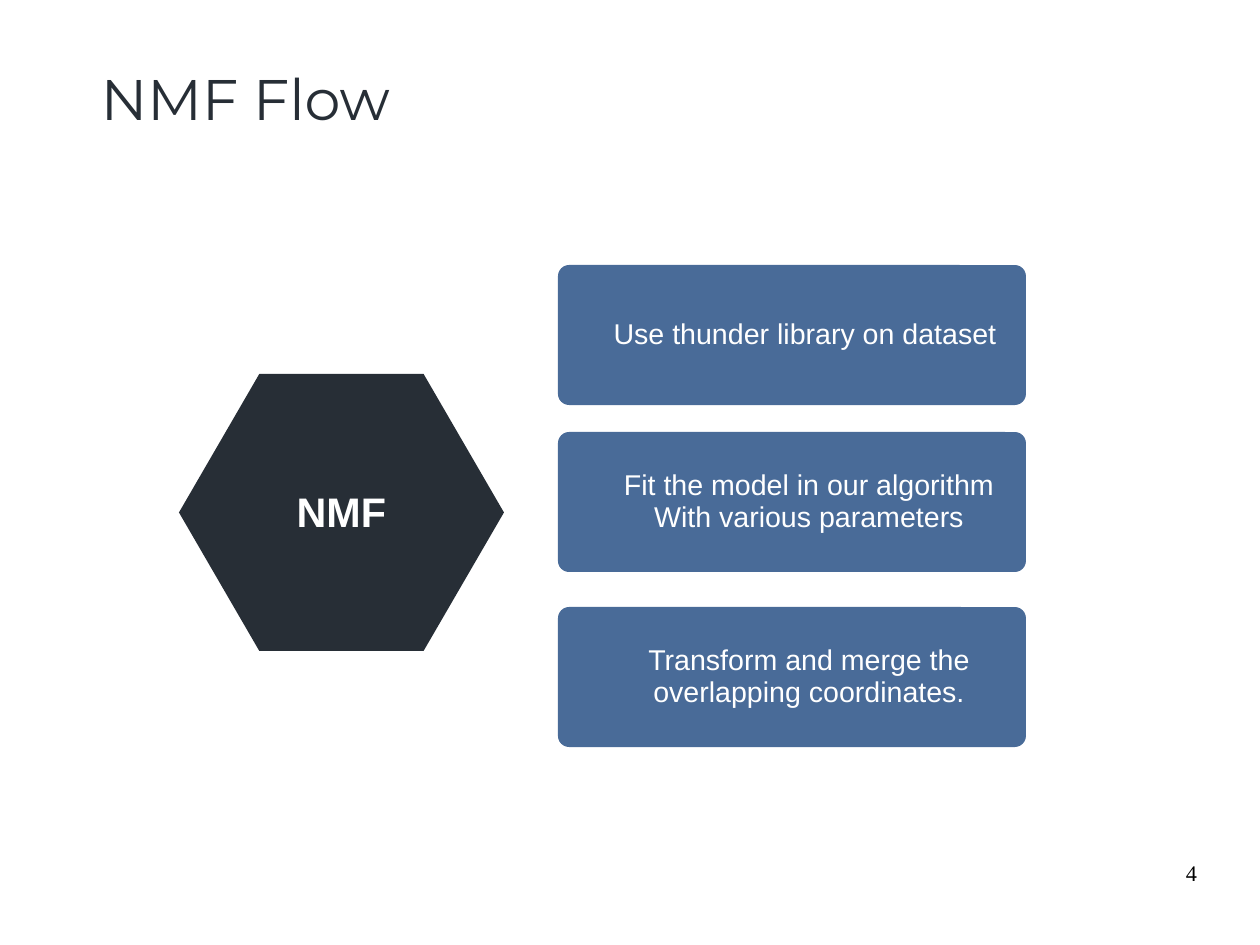
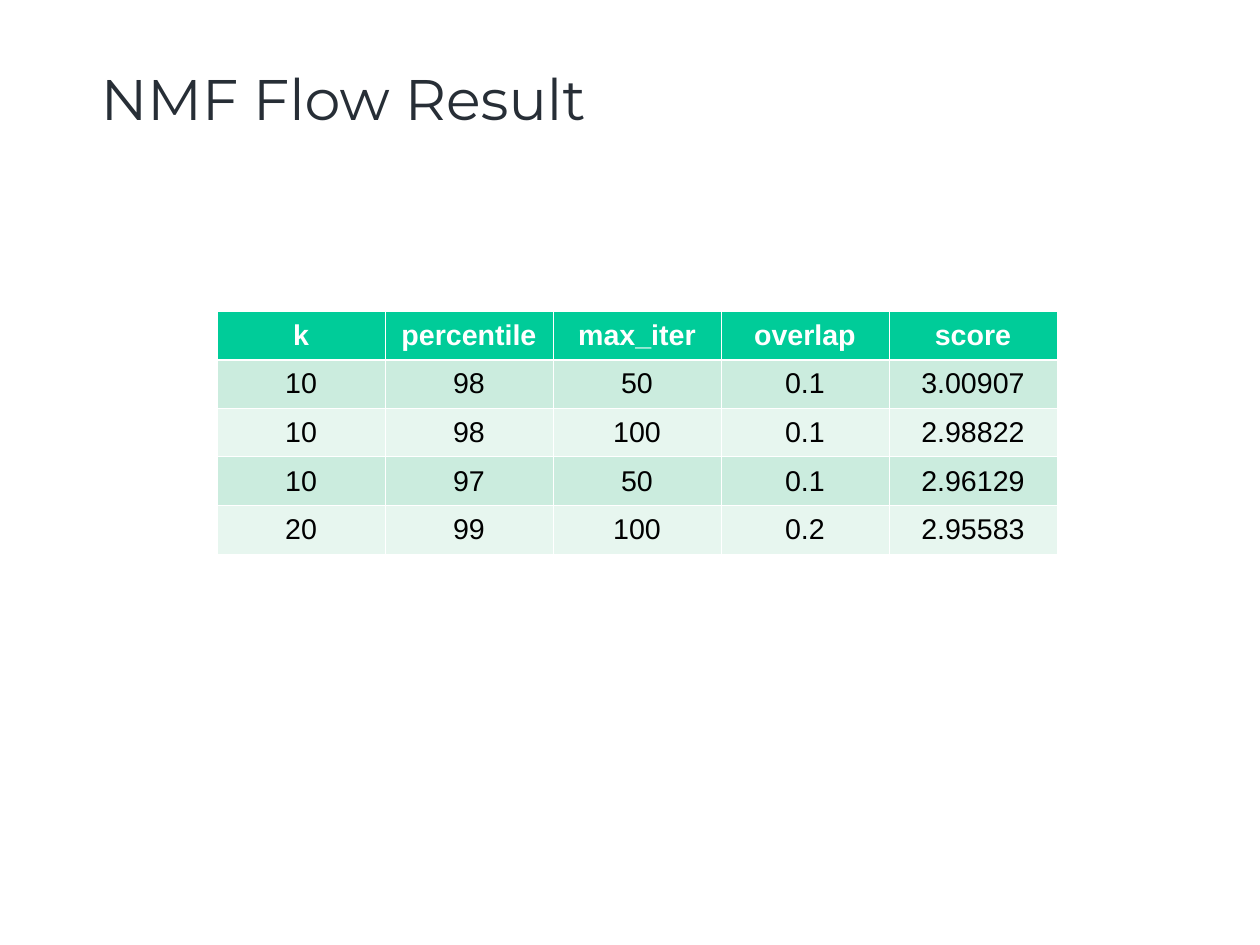
from lxml.etree import SubElement
from pptx import Presentation
from pptx.dml.color import RGBColor
from pptx.enum.shapes import MSO_SHAPE
from pptx.enum.text import MSO_ANCHOR, PP_ALIGN
from pptx.oxml.ns import qn
from pptx.util import Pt

PX = 8000  # EMU per px
BLANK_LAYOUT = 6

INK = RGBColor(0x27, 0x2E, 0x36)
BLUE = RGBColor(0x49, 0x6B, 0x98)
GREEN = RGBColor(0x00, 0xCC, 0x99)
MINT = RGBColor(0xCB, 0xEC, 0xDE)
PALE_MINT = RGBColor(0xE7, 0xF6, 0xEF)
WHITE = RGBColor(0xFF, 0xFF, 0xFF)
BLACK = RGBColor(0x00, 0x00, 0x00)

TITLE_FONT = dict(name="Montserrat", size=Pt(36), color=INK)
HEXAGON_FONT = dict(name="Arial", size=Pt(26), color=WHITE, bold=True)
STEP_FONT = dict(name="Arial", size=Pt(18), color=WHITE)
HEADER_FONT = dict(STEP_FONT, bold=True)
BODY_FONT = dict(STEP_FONT, color=BLACK, bold=False)
NUMBER_FONT = dict(name="Times New Roman", size=Pt(14), color=BLACK)

THIN, THICK = Pt(0.45), Pt(1.47)

STEPS = [
    (265, "Use thunder library on dataset "),
    (432, "Fit the model in our algorithm With various parameters"),
    (607, "Transform and merge the overlapping coordinates."),
]
RESULTS = [
    ("k", "percentile", "max_iter", "overlap", "score"),
    ("10", "98", "50", "0.1", "3.00907"),
    ("10", "98", "100", "0.1", "2.98822"),
    ("10", "97", "50", "0.1", "2.96129"),
    ("20", "99", "100", "0.2", "2.95583"),
]


def scale(*lengths):
    return [length * PX for length in lengths]


def set_margins(target, margins):
    """Set left, top, right and bottom margins of a text frame or a cell."""
    for side, margin in zip(("left", "top", "right", "bottom"), scale(*margins)):
        setattr(target, f"margin_{side}", margin)


def write(frame, text, font, align=PP_ALIGN.CENTER, spacing=1.0):
    paragraph = frame.paragraphs[0]
    paragraph.alignment = align
    paragraph.line_spacing = spacing
    run = paragraph.add_run()
    run.text = text
    for key, value in font.items():
        if key == "color":
            run.font.color.rgb = value
        else:
            setattr(run.font, key, value)


def add_label(slide, box, text, font, margins, align, spacing):
    frame = slide.shapes.add_textbox(*scale(*box)).text_frame
    frame.word_wrap = True
    set_margins(frame, margins)
    write(frame, text, font, align, spacing)


def add_block(slide, kind, box, adjustment, fill, text, font, margins, wrap=True):
    shape = slide.shapes.add_shape(kind, *scale(*box))
    shape.shadow.inherit = False
    shape.adjustments[0] = adjustment
    shape.fill.solid()
    shape.fill.fore_color.rgb = fill
    shape.line.fill.background()
    frame = shape.text_frame
    frame.word_wrap = wrap
    frame.vertical_anchor = MSO_ANCHOR.MIDDLE
    set_margins(frame, margins)
    write(frame, text, font, spacing=0.93)


def add_borders(cell, **widths):
    """Draw white cell borders; the sides come in the order L, R, T, B."""
    properties = cell._tc.get_or_add_tcPr()
    for side, width in widths.items():
        line = SubElement(properties, qn(f"a:ln{side}"), w=str(int(width)))
        fill = SubElement(line, qn("a:solidFill"))
        SubElement(fill, qn("a:srgbClr"), val=str(WHITE))


def add_result_table(slide, box, rows):
    frame = slide.shapes.add_table(len(rows), len(rows[0]), *scale(*box))
    for row_index, row in enumerate(rows):
        is_header = row_index == 0
        fill = GREEN if is_header else (PALE_MINT, MINT)[row_index % 2]
        for column_index, text in enumerate(row):
            cell = frame.table.cell(row_index, column_index)
            add_borders(cell, L=THIN, R=THIN,
                        T=THICK if row_index == 1 else THIN,
                        B=THICK if is_header else THIN)
            cell.fill.solid()
            cell.fill.fore_color.rgb = fill
            cell.vertical_anchor = MSO_ANCHOR.MIDDLE
            set_margins(cell, (16, 6, 16, 6))
            write(cell.text_frame, text, HEADER_FONT if is_header else BODY_FONT)


def add_titled_slide(presentation, title):
    slide = presentation.slides.add_slide(presentation.slide_layouts[BLANK_LAYOUT])
    add_label(slide, (90, 45, 1094, 93), title, TITLE_FONT, (11, 6, 11, 6),
              PP_ALIGN.LEFT, 1.18)
    return slide


def build_flow_slide(presentation):
    slide = add_titled_slide(presentation, "NMF Flow")
    add_block(slide, MSO_SHAPE.HEXAGON, (179, 374, 325, 277), 0.29, INK,
              "NMF", HEXAGON_FONT, (11, 8, 11, 6), wrap=False)
    for top, text in STEPS:
        add_block(slide, MSO_SHAPE.ROUNDED_RECTANGLE, (558, top, 468, 140), 0.08,
                  BLUE, text, STEP_FONT, (45, -2, 11, -2))
    add_label(slide, (903, 861, 294, 65), "4", NUMBER_FONT, (0, 0, 0, 0),
              PP_ALIGN.RIGHT, 0.95)


def build_result_slide(presentation):
    slide = add_titled_slide(presentation, "NMF Flow Result")
    add_result_table(slide, (217, 311, 840, 243), RESULTS)


def main():
    presentation = Presentation()
    presentation.slide_width, presentation.slide_height = scale(1260, 945)
    build_flow_slide(presentation)
    build_result_slide(presentation)
    presentation.save("out.pptx")


if __name__ == "__main__":
    main()
